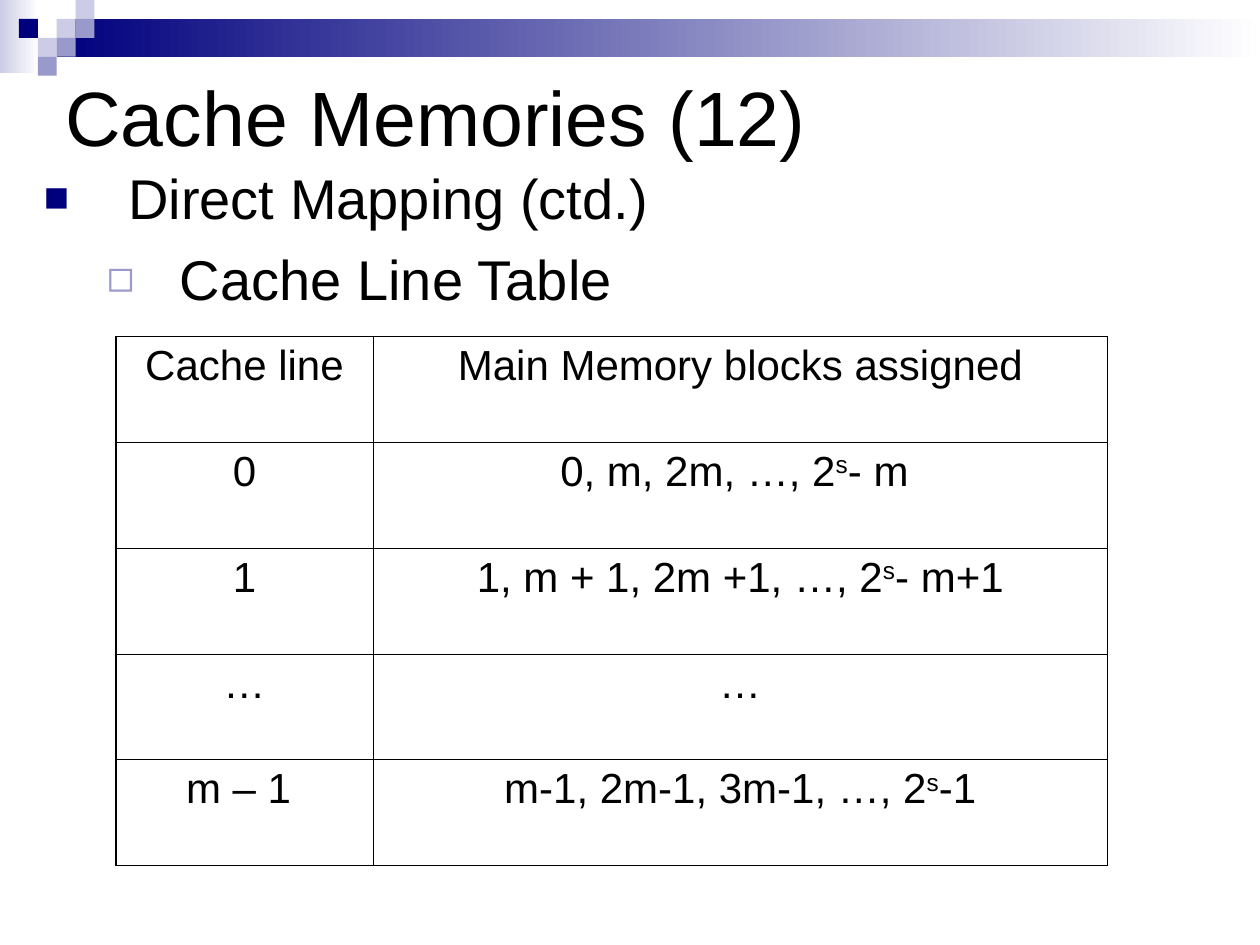
from typing import NamedTuple

from lxml import etree
from pptx import Presentation
from pptx import util as u
from pptx.dml.color import RGBColor
from pptx.enum import shapes, text
from pptx.oxml import ns

COLORS = {
    "navy": "00007D",
    "violet": "9999CC",
    "lavender": "CCCCE6",
    "white": "FFFFFF",
    "black": "000000",
}
FONT = "Arial"
TILE = 0.15
THIN, THICK = 0.45, 1.08


class Bar(NamedTuple):
    left: float
    top: float
    width: float
    height: float
    color: str


class Tile(NamedTuple):
    column: int
    row: int
    color: str


class Bullet(NamedTuple):
    wording: str
    symbol: str
    color: str
    size: int
    level: int
    margin: float
    hanging: float
    space_before: int


class Piece(NamedTuple):
    wording: str
    raised: bool = False


BARS = [
    Bar(0, 0, 0.31, 0.58, "lavender"),
    Bar(0.45, 0.15, 9.55, 0.3, "navy"),
]
TILES = [
    Tile(3, 1, "lavender"),
    Tile(4, 0, "lavender"),
    Tile(4, 1, "violet"),
    Tile(2, 2, "lavender"),
    Tile(1, 1, "navy"),
    Tile(3, 2, "violet"),
    Tile(2, 3, "violet"),
]
BULLETS = [
    Bullet("Direct Mapping (ctd.)", "■", "navy", 75, 0, 0.67, 0.67, 0),
    Bullet("Cache Line Table", "◻", "violet", 80, 1, 1.08, 0.58, 8),
]
POWER = Piece("s", raised=True)
CACHE_LINES = [
    [[Piece("Cache line")], [Piece("Main Memory blocks assigned")]],
    [[Piece("0")], [Piece("0, m, 2m, …, 2"), POWER, Piece("- m ")]],
    [[Piece("1")], [Piece("1, m + 1, 2m +1, …, 2"), POWER, Piece("- m+1")]],
    [[Piece("…")], [Piece("…")]],
    [[Piece("m – 1 ")], [Piece("m-1, 2m-1, 3m-1, …, 2"), POWER, Piece("-1")]],
]
COLUMN_WIDTHS = [2.04, 5.83]
ROW_HEIGHT = 0.84


def rgb(name: str) -> RGBColor:
    return RGBColor.from_string(COLORS[name])


def add_rectangle(slide, left: float, top: float, width: float, height: float):
    shape = slide.shapes.add_shape(
        shapes.MSO_SHAPE.RECTANGLE,
        u.Inches(left), u.Inches(top), u.Inches(width), u.Inches(height),
    )
    shape.shadow.inherit = False
    shape.line.fill.background()
    return shape


def add_bar(slide, bar: Bar) -> None:
    """Draw a bar that fades to white towards the right."""
    fill = add_rectangle(slide, bar.left, bar.top, bar.width, bar.height).fill
    fill.gradient()
    fill.gradient_angle = 0
    for stop, position, color in zip(fill.gradient_stops, (0, 1), (bar.color, "white")):
        stop.position = position
        stop.color.rgb = rgb(color)


def add_tile(slide, tile: Tile) -> None:
    shape = add_rectangle(slide, tile.column * TILE, tile.row * TILE, TILE, TILE)
    shape.fill.solid()
    shape.fill.fore_color.rgb = rgb(tile.color)


def add_text_frame(slide, left: float, top: float, width: float, height: float):
    box = slide.shapes.add_textbox(
        u.Inches(left), u.Inches(top), u.Inches(width), u.Inches(height)
    )
    box.text_frame.word_wrap = True
    return box.text_frame


def add_run(paragraph, piece: Piece, size: int) -> None:
    run = paragraph.add_run()
    run.text = piece.wording
    run.font.name = FONT
    run.font.size = u.Pt(size)
    run.font.color.rgb = rgb("black")
    if piece.raised:
        run._r.get_or_add_rPr().set("baseline", "30000")


def add_bullet(paragraph, bullet: Bullet) -> None:
    paragraph.level = bullet.level
    paragraph.space_before = u.Pt(bullet.space_before)
    properties = paragraph._p.get_or_add_pPr()
    properties.set("marL", str(u.Inches(bullet.margin)))
    properties.set("indent", str(-u.Inches(bullet.hanging)))
    color = etree.SubElement(properties, ns.qn("a:buClr"))
    etree.SubElement(color, ns.qn("a:srgbClr"), val=COLORS[bullet.color])
    etree.SubElement(properties, ns.qn("a:buSzPct"), val=str(bullet.size * 1000))
    etree.SubElement(properties, ns.qn("a:buFont"), typeface=FONT)
    etree.SubElement(properties, ns.qn("a:buChar"), char=bullet.symbol)
    add_run(paragraph, Piece(bullet.wording), 32)


def set_borders(cell, outer_sides: dict[str, bool]) -> None:
    """Give each side a black line, thick where it is on the table's outside."""
    properties = cell._tc.get_or_add_tcPr()
    for side, is_outer in outer_sides.items():
        width = u.Pt(THICK if is_outer else THIN)
        line = etree.SubElement(properties, ns.qn(f"a:ln{side}"), w=str(width))
        fill = etree.SubElement(line, ns.qn("a:solidFill"))
        etree.SubElement(fill, ns.qn("a:srgbClr"), val=COLORS["black"])


def add_cache_table(slide) -> None:
    last_row, last_column = len(CACHE_LINES) - 1, len(COLUMN_WIDTHS) - 1
    table = slide.shapes.add_table(
        len(CACHE_LINES), len(COLUMN_WIDTHS), u.Inches(0.92), u.Inches(2.67),
        u.Inches(sum(COLUMN_WIDTHS)), u.Inches(ROW_HEIGHT * len(CACHE_LINES)),
    ).table
    table.first_row = False
    table.horz_banding = False
    for column, width in zip(table.columns, COLUMN_WIDTHS):
        column.width = u.Inches(width)
    for i, cells in enumerate(CACHE_LINES):
        table.rows[i].height = u.Inches(ROW_HEIGHT)
        for j, pieces in enumerate(cells):
            cell = table.cell(i, j)
            set_borders(cell, {
                "L": j == 0, "R": j == last_column, "T": i == 0, "B": i == last_row,
            })
            cell.fill.background()
            paragraph = cell.text_frame.paragraphs[0]
            paragraph.alignment = text.PP_ALIGN.CENTER
            for piece in pieces:
                add_run(paragraph, piece, 24)


def main() -> None:
    presentation = Presentation()
    presentation.slide_width = u.Inches(10)
    presentation.slide_height = u.Inches(7.5)
    slide = presentation.slides.add_slide(presentation.slide_layouts[6])

    for bar in BARS:
        add_bar(slide, bar)
    for tile in TILES:
        add_tile(slide, tile)

    title = add_text_frame(slide, 0.42, 0.5, 8.42, 0.83)
    title.vertical_anchor = text.MSO_ANCHOR.MIDDLE
    add_run(title.paragraphs[0], Piece("Cache Memories (12)"), 44)

    body = add_text_frame(slide, 0.25, 1.25, 9.25, 6.08)
    for i, bullet in enumerate(BULLETS):
        add_bullet(body.add_paragraph() if i else body.paragraphs[0], bullet)

    add_cache_table(slide)
    presentation.save("out.pptx")


if __name__ == "__main__":
    main()
